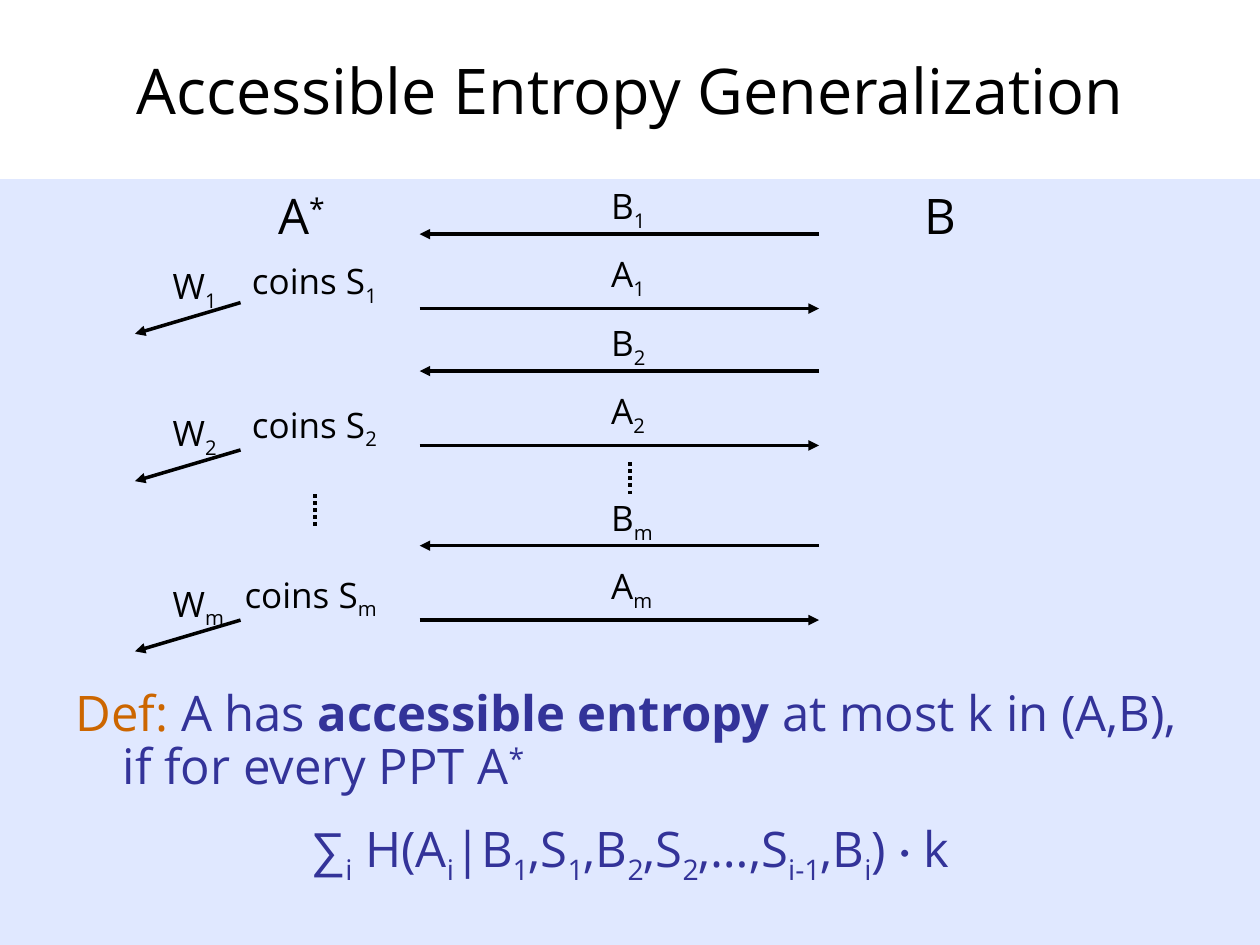
from dataclasses import dataclass
from lxml import etree
from pptx import Presentation
from pptx.dml.color import RGBColor
from pptx.enum.dml import MSO_LINE
from pptx.enum.shapes import MSO_CONNECTOR, MSO_SHAPE
from pptx.enum.text import MSO_ANCHOR, MSO_AUTO_SIZE, PP_ALIGN
from pptx.oxml.ns import qn
from pptx.util import Cm, Pt

RECT = MSO_SHAPE.RECTANGLE
LINE = MSO_CONNECTOR.STRAIGHT
DOTS = MSO_LINE.ROUND_DOT
MIDDLE, TOP = MSO_ANCHOR.MIDDLE, MSO_ANCHOR.TOP
LEFT, CENTER = PP_ALIGN.LEFT, PP_ALIGN.CENTER
GROW, FIXED = MSO_AUTO_SIZE.SHAPE_TO_FIT_TEXT, MSO_AUTO_SIZE.NONE


@dataclass(frozen=True)
class Theme:
    """Hold the colours, fonts and type sizes."""
    ink: RGBColor = RGBColor(0, 0, 0)
    blue: RGBColor = RGBColor(0x33, 0x33, 0x99)
    amber: RGBColor = RGBColor(0xCC, 0x66, 0x00)
    band: RGBColor = RGBColor(0x33, 0x66, 0xFF)
    font: str = "Open Sans"
    title: Pt = Pt(36)
    large: Pt = Pt(28)
    small: Pt = Pt(20)
    rule: Pt = Pt(2)


THEME = Theme()
SUB, SUP = -25000, 30000


def apply(item, values):
    """Set each attribute named in values."""
    for name, value in values.items():
        setattr(item, name, value)


def write(para, parts, size, color):
    """Add runs given as (text, shift, extra font values)."""
    for text, shift, extra in parts:
        run = para.add_run()
        run.text = text
        look = {"name": THEME.font, "size": size} | extra
        run.font.color.rgb = look.pop("color", color)
        apply(run.font, look)
        if shift:
            run._r.get_or_add_rPr().set("baseline", str(shift))


def shifted(base, mark="", shift=SUB):
    """Return the runs of a base with a raised or lowered mark."""
    parts = [(base, 0, {})]
    return parts + [(mark, shift, {})] if mark else parts


def place(shape, *box):
    """Move and size a shape in centimetres."""
    names = ("left", "top", "width", "height")
    apply(shape, {name: Cm(value) for name, value in zip(names, box)})


def add_band(slide):
    """Add the pale band behind everything."""
    band = slide.shapes.add_shape(RECT, 0, Cm(3.61), Cm(25.4), Cm(15.44))
    band.shadow.inherit = False
    band.fill.solid()
    band.fill.fore_color.rgb = THEME.band
    band.line.fill.background()
    color = next(band._element.spPr.iter(qn("a:srgbClr")))
    etree.SubElement(color, qn("a:alpha")).set("val", "15000")
    slide.shapes._spTree.insert(2, band._element)


def add_label(slide, parts, left, top, width, size=THEME.small):
    """Add a one-line text label."""
    high = 1.45 if size == THEME.large else 1.09
    box = slide.shapes.add_textbox(Cm(left), Cm(top), Cm(width), Cm(high))
    apply(box.text_frame, {"word_wrap": False, "auto_size": GROW})
    write(box.text_frame.paragraphs[0], parts, size, THEME.ink)


def add_line(slide, start, end, dotted=False):
    """Add an arrow, or a dotted line without a head."""
    ends = [Cm(value) for value in (*start, *end)]
    line = slide.shapes.add_connector(LINE, *ends)
    line.line.width = THEME.rule
    line.line.color.rgb = THEME.ink
    props = line._element.spPr
    if dotted:
        line.line.dash_style = DOTS
    else:
        tail = etree.SubElement(props.find(qn("a:ln")), qn("a:tailEnd"))
        tail.set("type", "triangle")
    etree.SubElement(props, qn("a:effectLst"))


def add_round(slide, mark, row, coin_top, wit_top):
    """Add both messages, the coins and the witness of one round."""
    wide = 0.15 if mark == "m" else 0
    near, far = 8.46, 16.51
    add_line(slide, (far, row), (near, row))
    add_label(slide, shifted("B", mark), 12.07, row - 1.12, 1.22 + wide)
    add_line(slide, (near, row + 1.5), (far, row + 1.5))
    add_label(slide, shifted("A", mark), 12.07, row + 0.25, 1.3 + wide)
    coin = 3.2 + wide
    add_label(slide, shifted("coins S", mark), 8.03 - coin, coin_top, coin)
    add_line(slide, (4.85, wit_top + 0.89), (2.72, wit_top + 1.52))
    add_label(slide, shifted("W", mark), 3.23, wit_top, 1.45 + wide)


def fill_title(slide):
    """Write the slide title."""
    title = slide.shapes.title
    place(title, 1.27, 0.43, 22.86, 2.74)
    frame = title.text_frame
    apply(frame, {"vertical_anchor": MIDDLE, "auto_size": FIXED})
    para = frame.paragraphs[0]
    para.alignment = CENTER
    write(para, shifted("Accessible Entropy Generalization"),
          THEME.title, THEME.ink)


def fill_body(slide):
    """Write the definition and its formula."""
    body = slide.placeholders[1]
    place(body, 1.27, 13.77, 22.86, 4.27)
    frame = body.text_frame
    apply(frame, {"vertical_anchor": TOP, "auto_size": FIXED})
    claim = [("Def: ", 0, {"color": THEME.amber}), ("A has ", 0, {}),
             ("accessible entropy", 0, {"bold": True}),
             *shifted(" at most k in (A,B), if for every PPT A", "*", SUP)]
    terms = [(" H(A", "i"), ("|B", "1"), (",S", "1"), (",B", "2"),
             (",S", "2"), (",…,S", "i-1"), (",B", "i")]
    total = [("∑", 0, {"name": "Arial"}), ("i", SUB, {})]
    for base, mark in terms:
        total += shifted(base, mark)
    total += [(") ", 0, {}), ("·", 0, {"name": "Calibri"}), (" k", 0, {})]
    paras = (frame.paragraphs[0], frame.add_paragraph())
    looks = ((claim, LEFT, Pt(0)), (total, CENTER, Pt(14)))
    for para, (parts, align, gap) in zip(paras, looks):
        props = para._p.get_or_add_pPr()
        props.set("marL", str(Cm(0.95)))
        props.set("indent", str(-Cm(0.95)))
        etree.SubElement(props, qn("a:buNone"))
        apply(para, {"alignment": align, "line_spacing": 0.9,
                     "space_before": gap})
        write(para, parts, THEME.large, THEME.blue)


def main():
    """Build the slide and save it."""
    deck = Presentation()
    apply(deck, {"slide_width": Cm(25.4), "slide_height": Cm(19.05)})
    slide = deck.slides.add_slide(deck.slide_layouts[1])
    add_band(slide)
    fill_title(slide)
    add_label(slide, shifted("A", "*", SUP), 5.36, 3.61, 1.52, THEME.large)
    add_label(slide, shifted("B"), 18.39, 3.61, 1.09, THEME.large)
    rounds = (("1", 4.72, 5.11, 5.21), ("2", 7.48, 8, 8.18),
              ("m", 11, 11.43, 11.61))
    for values in rounds:
        add_round(slide, *values)
    for left, top in ((12.7, 9.32), (6.35, 9.96)):
        add_line(slide, (left, top), (left, top + 0.64), dotted=True)
    fill_body(slide)
    deck.save("out.pptx")


if __name__ == "__main__":
    main()
